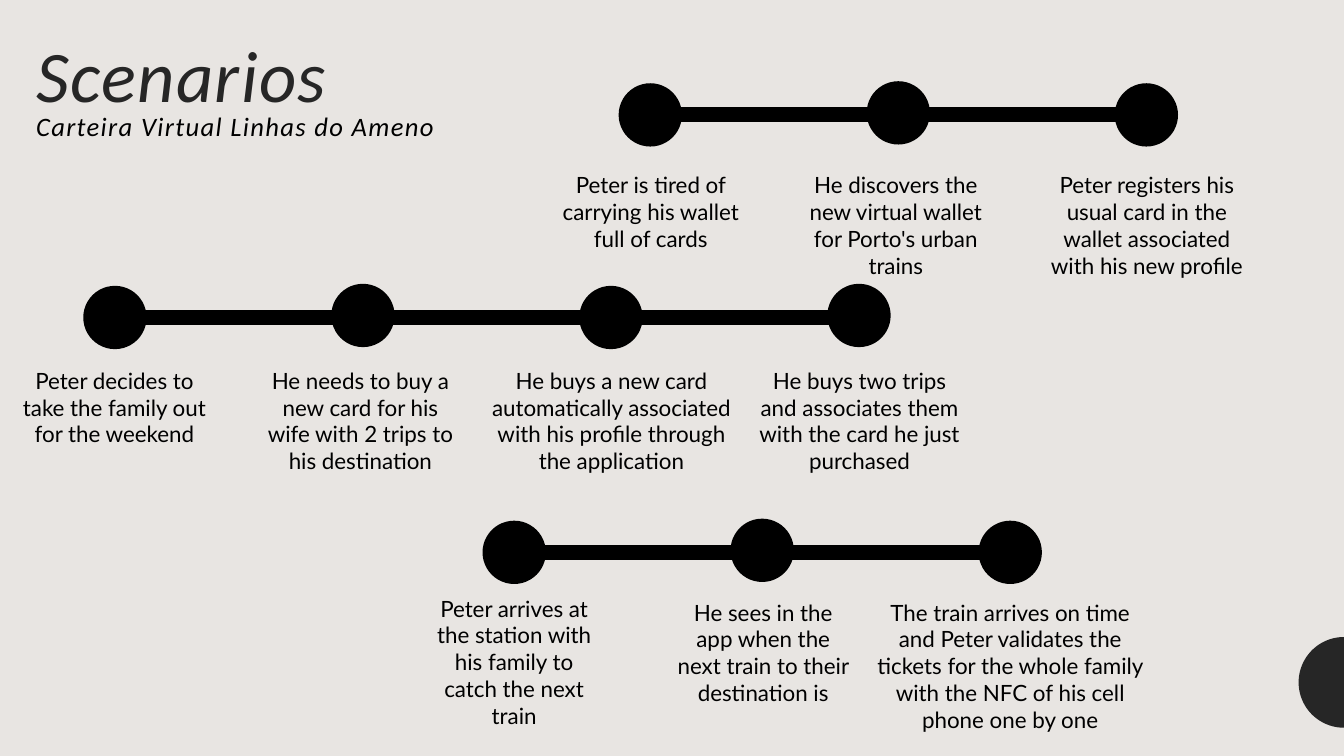
"""Build the Scenarios slide: three timelines of a passenger using a virtual wallet."""
from math import cos, pi, sin

from pptx import Presentation
from pptx import util as u
from pptx.dml.color import RGBColor
from pptx.enum import shapes, text

BACKDROP = RGBColor(0xE8, 0xE5, 0xE2)
CHARCOAL = RGBColor(0x26, 0x26, 0x26)
BLACK = RGBColor(0, 0, 0)
STEP, DOT, BAR, BAR_INSET = 2.46, 0.6, 0.12, 0.16

TIMELINES = [
    (6.15, 0.84, [
        (5.34, 1.65, 2.23, 0.9, "Peter is tired of carrying his wallet full of cards"),
        (7.77, 1.65, 2.23, 1.16, "He discovers the new virtual wallet for Porto's urban trains"),
        (10.28, 1.65, 2.19, 1.43,
         "Peter registers his usual card in the wallet associated with his new profile"),
    ]),
    (0.84, 2.85, [
        (0.09, 3.59, 2.09, 1.16, "Peter decides to take the family out for the weekend"),
        (2.48, 3.59, 2.19, 1.16,
         "He needs to buy a new card for his wife with 2 trips to his destination"),
        (4.78, 3.59, 2.57, 1.43,
         "He buys a new card automatically associated with his profile through the application"),
        (7.4, 3.59, 2.25, 1.43,
         "He buys two trips and associates them with the card he just purchased"),
    ]),
    (4.8, 5.18, [
        (4.23, 5.85, 1.74, 1.69,
         "Peter arrives at the station with his family to catch the next train"),
        (6.61, 5.89, 1.92, 1.43,
         "He sees in the app when the next train to their destination is"),
        (8.6, 5.89, 2.84, 1.69,
         "The train arrives on time and Peter validates the tickets for the whole family "
         "with the NFC of his cell phone one by one"),
    ]),
]

deck = Presentation()
deck.slide_width, deck.slide_height = u.Inches(13.33), u.Inches(7.5)
slide = deck.slides.add_slide(deck.slide_layouts[6])
slide.background.fill.solid()
slide.background.fill.fore_color.rgb = BACKDROP


def add_mark(kind, left, top, width, height):
    mark = slide.shapes.add_shape(kind, *map(u.Inches, (left, top, width, height)))
    mark.shadow.inherit = False
    mark.fill.solid()
    mark.fill.fore_color.rgb = BLACK
    mark.line.color.rgb = BLACK
    mark.line.width = u.Pt(2)


def add_words(left, top, width, height, words):
    box = slide.shapes.add_textbox(*map(u.Inches, (left, top, width, height)))
    box.text_frame.word_wrap = True
    box.text_frame.text = words
    return box.text_frame.paragraphs[0]


edge, middle, radius = u.Inches(13.33), u.Inches(6.77), u.Inches(0.45)
arc = [(edge - radius * sin(pi * i / 48), middle - radius * cos(pi * i / 48)) for i in range(49)]
outline = slide.shapes.build_freeform(*arc[0])
outline.add_line_segments(arc[1:], close=True)
half_moon = outline.convert_to_shape()
half_moon.shadow.inherit = False
half_moon.fill.solid()
half_moon.fill.fore_color.rgb = CHARCOAL
half_moon.line.fill.background()

heading = add_words(0.26, 0.41, 4.96, 1.34, "Scenarios\vCarteira Virtual Linhas do Ameno")
heading.line_spacing = 0.8
for run, size, color in zip(heading.runs, (51.9, 19), (CHARCOAL, BLACK)):
    run.font.name = "Calibri"
    run.font.size = u.Pt(size)
    run.font.italic = True
    run.font.color.rgb = color
    run.font._element.set("spc", "100")

for first_dot, dot_top, scenes in TIMELINES:
    bar_top = dot_top + (DOT - BAR) / 2
    bar_width = STEP * (len(scenes) - 1) + DOT - 2 * BAR_INSET
    add_mark(shapes.MSO_SHAPE.RECTANGLE, first_dot + BAR_INSET, bar_top, bar_width, BAR)
    for i, scene in enumerate(scenes):
        add_mark(shapes.MSO_SHAPE.OVAL, first_dot + i * STEP, dot_top - 0.02 * (i % 2), DOT, DOT)
        caption = add_words(*scene)
        caption.alignment = text.PP_ALIGN.CENTER
        caption.font.name = "Lato"
        caption.font.size = u.Pt(16)
        caption.font.color.rgb = BLACK

deck.save("out.pptx")
